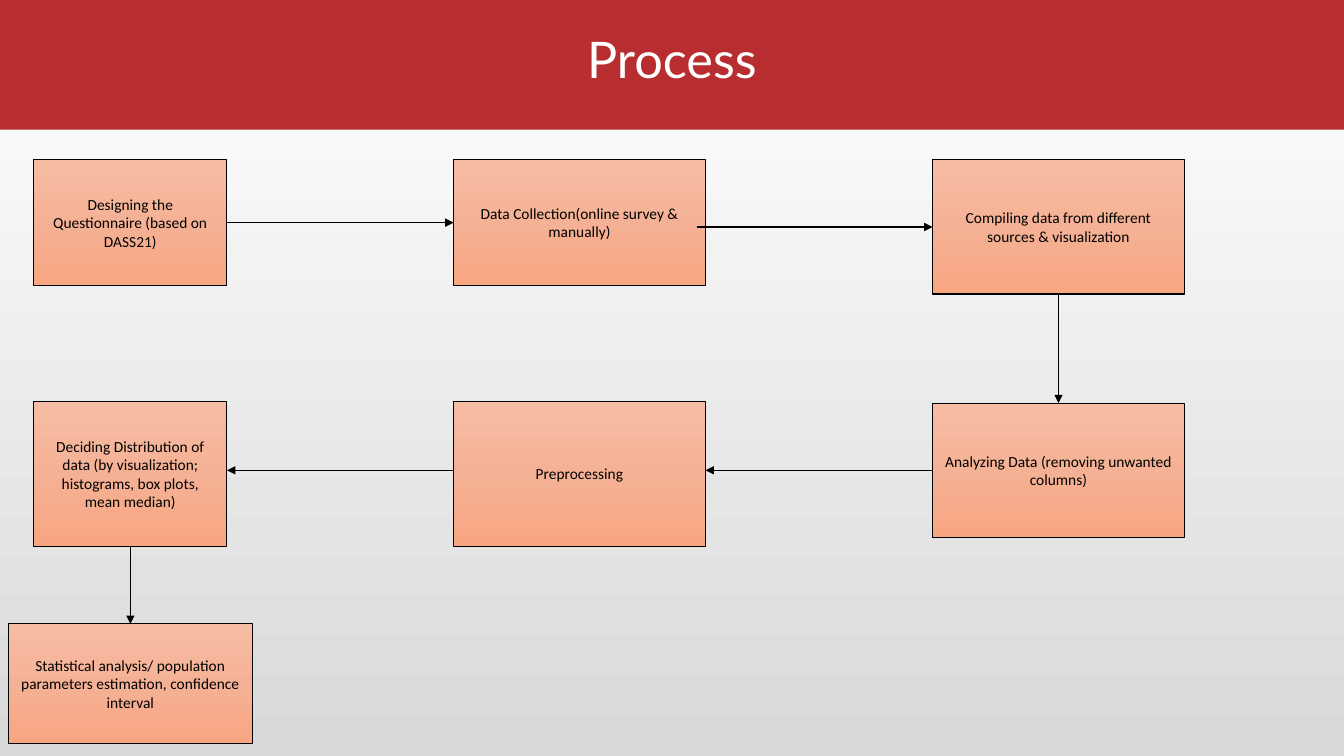
from copy import deepcopy
from typing import NamedTuple

from pptx import Presentation
from pptx.dml.color import RGBColor
from pptx.dml.fill import FillFormat
from pptx.enum.shapes import MSO_CONNECTOR, MSO_SHAPE
from pptx.enum.text import MSO_ANCHOR, PP_ALIGN
from pptx.oxml.ns import qn
from pptx.oxml.xmlchemy import BaseOxmlElement
from pptx.shapes.autoshape import Shape
from pptx.slide import Slide
from pptx.util import Cm, Pt
from lxml.etree import SubElement

BLACK = RGBColor(0x00, 0x00, 0x00)
WHITE = RGBColor(0xFF, 0xFF, 0xFF)
GREY = RGBColor(0xD9, 0xD9, 0xD9)
RED = RGBColor(0xB8, 0x2D, 0x2F)
PEACH = [RGBColor(0xF7, 0xBD, 0xA4), RGBColor(0xF5, 0xB1, 0x95), RGBColor(0xF8, 0xA5, 0x81)]


class Step(NamedTuple):
    text: str
    x: float
    y: float
    w: float
    h: float


class Arrow(NamedTuple):
    x1: float
    y1: float
    x2: float
    y2: float


# Grid of the flow, in centimetres
LEFT, MIDDLE, RIGHT = 0.85, 11.43, 23.5
NARROW, WIDE = 4.87, 6.35
TOP, LOWER, LAST = 4.02, 10.11, 15.72
LEFT_EDGE, MIDDLE_EDGE = LEFT + NARROW, MIDDLE + WIDE
LEFT_AXIS, RIGHT_AXIS = LEFT + NARROW / 2, RIGHT + WIDE / 2
LOWER_AXIS = 11.85

STEPS = [
    Step("Designing the Questionnaire (based on DASS21)", LEFT, TOP, NARROW, 3.18),
    Step("Data Collection(online survey & manually)", MIDDLE, TOP, WIDE, 3.18),
    Step("Compiling data from different sources & visualization", RIGHT, TOP, WIDE, 3.39),
    Step("Analyzing Data (removing unwanted columns)", RIGHT, 10.16, WIDE, 3.39),
    Step("Preprocessing", MIDDLE, LOWER, WIDE, 3.66),
    Step("Deciding Distribution of data (by visualization; histograms, box plots, mean median)",
         LEFT, LOWER, NARROW, 3.66),
    Step("Statistical analysis/ population parameters estimation, confidence interval",
         0.21, LAST, 6.15, 3.02),
]

ARROWS = [
    Arrow(LEFT_EDGE, 5.61, MIDDLE, 5.61),
    Arrow(17.57, 5.72, RIGHT, 5.72),
    Arrow(RIGHT_AXIS, 7.41, RIGHT_AXIS, 10.16),
    Arrow(RIGHT, LOWER_AXIS, MIDDLE_EDGE, LOWER_AXIS),
    Arrow(MIDDLE, LOWER_AXIS, LEFT_EDGE, LOWER_AXIS),
    Arrow(LEFT_AXIS, 13.77, LEFT_AXIS, LAST),
]


def set_gradient(fill: FillFormat, root: BaseOxmlElement, colors: list[RGBColor], angle: int) -> None:
    """Fill with evenly spaced colour stops."""
    fill.gradient()
    fill.gradient_angle = angle
    stops = root.xpath(".//a:gsLst")[0]
    for _ in colors[2:]:
        stops.insert(1, deepcopy(stops[0]))
    for i, (stop, color) in enumerate(zip(fill.gradient_stops, colors)):
        stop.position = i / (len(colors) - 1)
        stop.color.rgb = color


def add_box(s: Slide, step: Step, font: str, size: int, color: RGBColor) -> Shape:
    """Add a rectangle with centred text."""
    sp = s.shapes.add_shape(MSO_SHAPE.RECTANGLE, Cm(step.x), Cm(step.y), Cm(step.w), Cm(step.h))
    sp.shadow.inherit = False
    tf = sp.text_frame
    tf.word_wrap = True
    tf.vertical_anchor = MSO_ANCHOR.MIDDLE
    p = tf.paragraphs[0]
    p.alignment = PP_ALIGN.CENTER
    r = p.add_run()
    r.text = step.text
    r.font.name = font
    r.font.size = Pt(size)
    r.font.color.rgb = color
    return sp


def add_step(s: Slide, step: Step) -> None:
    sp = add_box(s, step, "Calibri", 11, BLACK)
    set_gradient(sp.fill, sp._element, PEACH, 270)
    sp.line.color.rgb = BLACK
    sp.line.width = Pt(0.75)


def add_arrow(s: Slide, arrow: Arrow) -> None:
    cn = s.shapes.add_connector(MSO_CONNECTOR.STRAIGHT, *(Cm(v) for v in arrow))
    cn.line.color.rgb = BLACK
    cn.line.width = Pt(0.75)
    SubElement(cn.line._get_or_add_ln(), qn("a:tailEnd"), type="triangle")
    SubElement(cn._element.spPr, qn("a:effectLst"))


def main() -> None:
    prs = Presentation()
    prs.slide_width, prs.slide_height = Cm(33.87), Cm(19.05)
    s = prs.slides.add_slide(prs.slide_layouts[6])

    # Background
    set_gradient(s.background.fill, s._element, [GREY, WHITE], 90)

    # Flow
    for step in STEPS:
        add_step(s, step)
    for arrow in ARROWS:
        add_arrow(s, arrow)

    # Title band
    band = add_box(s, Step("Process", 0, -0.12, 33.87, 3.39), "Lato", 36, WHITE)
    band.text_frame.paragraphs[0].line_spacing = 0.9
    band.fill.solid()
    band.fill.fore_color.rgb = RED
    band.line.fill.background()

    prs.save("out.pptx")


if __name__ == "__main__":
    main()
